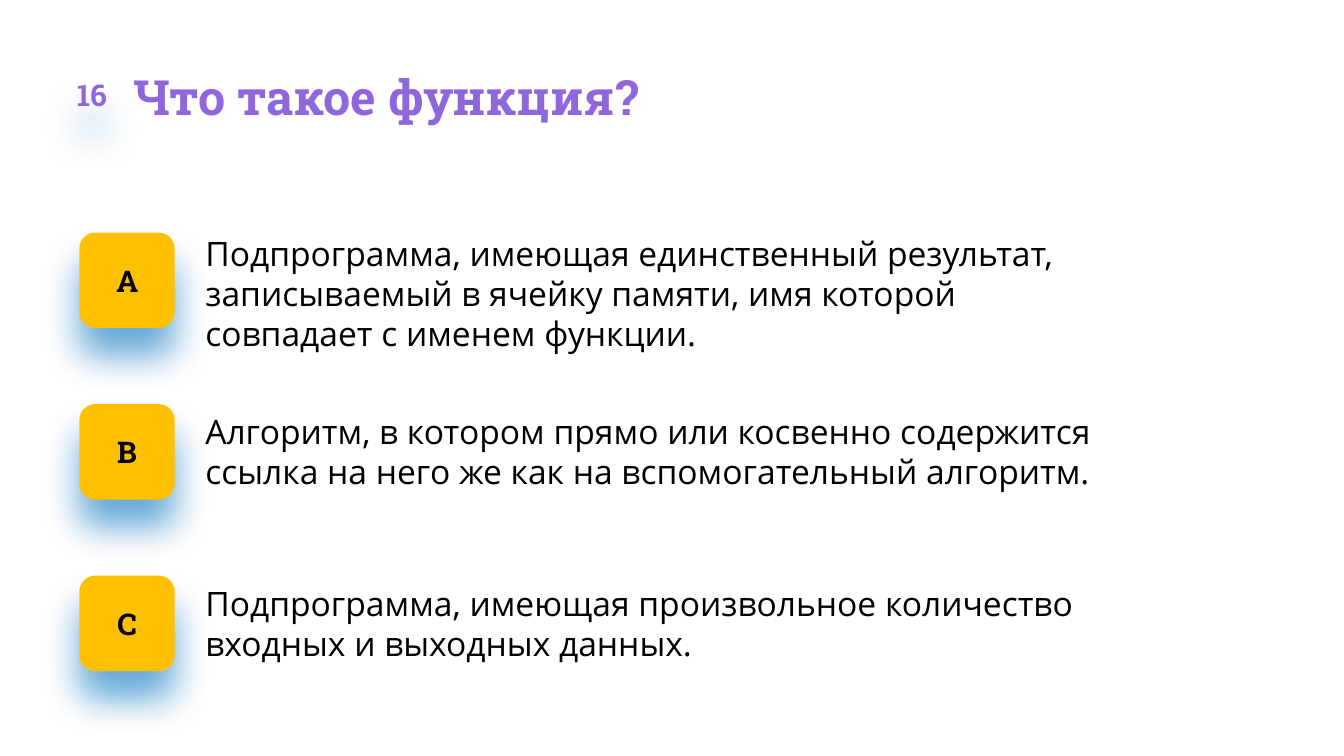
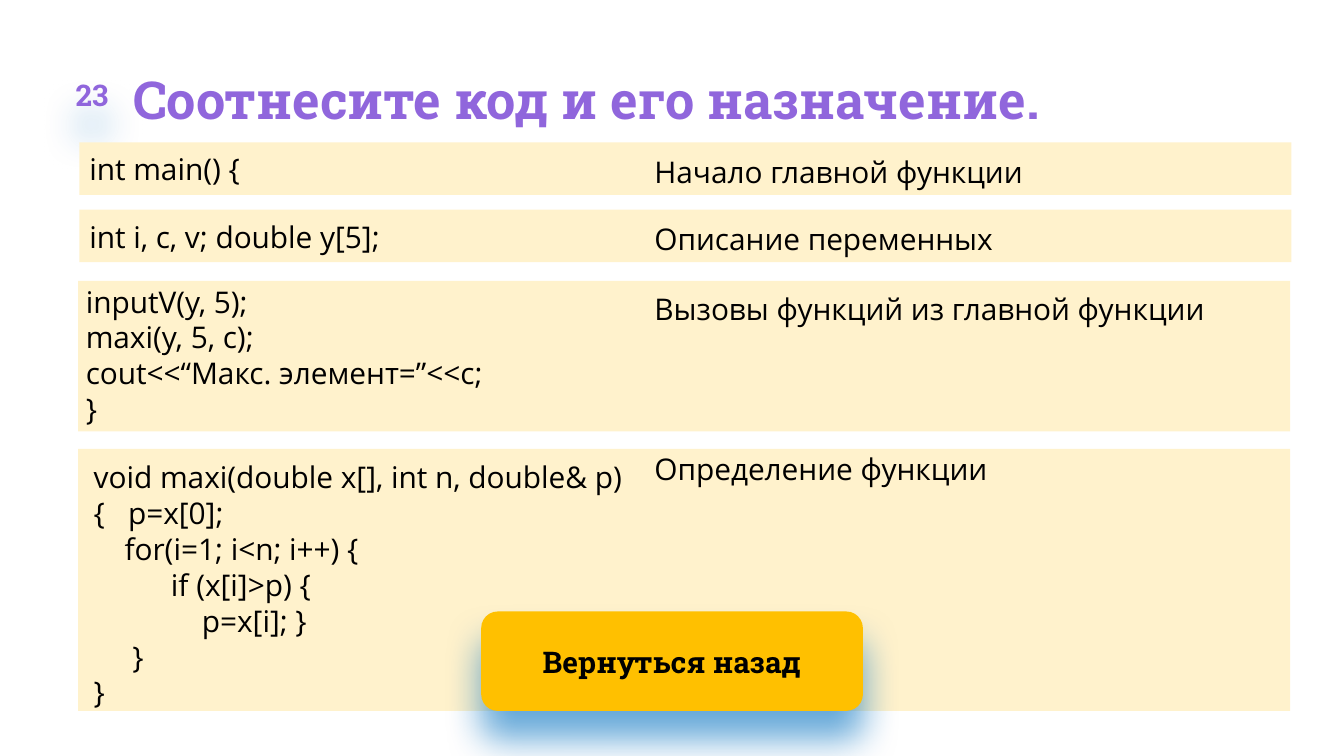
from lxml import etree
from pptx import Presentation
from pptx.dml.color import RGBColor
from pptx.enum.shapes import MSO_SHAPE
from pptx.enum.text import MSO_ANCHOR, MSO_AUTO_SIZE, PP_ALIGN
from pptx.oxml.ns import qn
from pptx.util import Pt

RECTANGLE, ROUNDED = MSO_SHAPE.RECTANGLE, MSO_SHAPE.ROUNDED_RECTANGLE
TOP, MIDDLE = MSO_ANCHOR.TOP, MSO_ANCHOR.MIDDLE
LEFT, CENTER = PP_ALIGN.LEFT, PP_ALIGN.CENTER
GROW, FIXED = MSO_AUTO_SIZE.SHAPE_TO_FIT_TEXT, MSO_AUTO_SIZE.NONE
PURPLE, YELLOW, CREAM = "9066DC", "FFC000", "FFF2CC"
BLACK, SHADOW_BLUE = "000000", "0070C0"
HEADING_FONT, BODY_FONT = "Roboto Slab", "Open Sans"
NOTE_INDENT = (10, 0, 0, 0)


def color(value):
    return RGBColor.from_string(value)


class SlideBuilder:
    heading = {"name": HEADING_FONT, "size": Pt(16), "bold": True}
    body = {"name": BODY_FONT, "size": Pt(16), "bold": False}

    def __init__(self, deck):
        self.deck = deck
        self.page = None

    def start(self, number, title, size):
        self.page = self.deck.slides.add_slide(self.deck.slide_layouts[5])
        box = self.page.shapes.title
        box.left, box.top, box.width, box.height = Pt(71.3), Pt(33.8), Pt(630), Pt(size * 1.2)
        self.fill_text(box, [title], self.heading | {"size": Pt(size)}, PURPLE)
        box.text_frame.paragraphs[0].line_spacing = 1.06
        badge = self.shape(ROUNDED, 28, 29.5, 42.5, 42.5, shadow=True)
        self.fill_text(badge, [str(number)], self.heading, PURPLE, CENTER, MIDDLE, grow=FIXED)

    def fill_text(self, box, lines, style, ink=BLACK, align=LEFT, anchor=TOP,
                  margins=(0, 0, 0, 0), grow=GROW):
        frame = box.text_frame
        left, top, right, bottom = map(Pt, margins)
        layout = {"word_wrap": True, "auto_size": grow, "vertical_anchor": anchor,
                  "margin_left": left, "margin_top": top,
                  "margin_right": right, "margin_bottom": bottom}
        for key, value in layout.items():
            setattr(frame, key, value)
        for index, line in enumerate(lines):
            para = frame.add_paragraph() if index else frame.paragraphs[0]
            para.alignment = align
            span = para.add_run()
            span.text = line
            for key, value in style.items():
                setattr(span.font, key, value)
            span.font.color.rgb = color(ink)

    def shape(self, kind, left, top, width, height, fill=None, shadow=False):
        box = self.page.shapes.add_shape(kind, Pt(left), Pt(top), Pt(width), Pt(height))
        box.line.fill.background()
        if fill:
            box.fill.solid()
            box.fill.fore_color.rgb = color(fill)
        else:
            box.fill.background()
        box.shadow.inherit = False
        if shadow:
            self.cast_shadow(box)
        return box

    def cast_shadow(self, box):
        effects = box._element.spPr.find(qn("a:effectLst"))
        outer = etree.SubElement(effects, qn("a:outerShdw"), blurRad=str(Pt(20)),
                                 dist=str(Pt(15)), dir="5400000", algn="t", rotWithShape="0")
        tint = etree.SubElement(outer, qn("a:srgbClr"), val=SHADOW_BLUE)
        etree.SubElement(tint, qn("a:alpha"), val="60000")

    def button(self, left, top, width, height, label, margins=(0, 0, 0, 0)):
        box = self.shape(ROUNDED, left, top, width, height, YELLOW, shadow=True)
        self.fill_text(box, [label], self.heading, BLACK, CENTER, MIDDLE, margins, FIXED)

    def note(self, left, top, width, height, text, size):
        box = self.page.shapes.add_textbox(Pt(left), Pt(top), Pt(width), Pt(height))
        self.fill_text(box, [text], self.body | {"size": Pt(size)}, margins=NOTE_INDENT)

    def code(self, left, top, width, height, lines):
        self.fill_text(self.shape(ROUNDED, left, top, width, height), lines, self.body)


def build_question(builder):
    builder.start(16, "Что такое функция?", 26)
    answers = [
        ("А", "Подпрограмма, имеющая единственный результат, записываемый в ячейку "
              "памяти, имя которой совпадает с именем функции.", 0, 65.5),
        ("B", "Алгоритм, в котором прямо или косвенно содержится ссылка на него же "
              "как на вспомогательный алгоритм.", 3.7, 44),
        ("C", "Подпрограмма, имеющая произвольное количество входных и выходных "
              "данных.", 3.7, 44),
    ]
    for index, (letter, text, offset, height) in enumerate(answers):
        top = 124.6 + 91.9 * index
        builder.button(42.5, top, 51.1, 51.1, letter)
        builder.note(100, top + offset, 506, height, text, 18)


def build_matching(builder):
    builder.start(23, "Соотнесите код и его назначение.", 28)
    bands = [(42.5, 76.3, 28.1), (42.5, 112.3, 28.1),
             (41.8, 150.5, 80.6), (41.8, 240.5, 140.4)]
    for left, top, height in bands:
        builder.shape(RECTANGLE, left, top, 649.4, height, CREAM)
    notes = [(82.1, "Начало главной функции"), (118.1, "Описание переменных"),
             (155.5, "Вызовы функций из главной функции"),
             (241.2, "Определение функции")]
    for top, text in notes:
        builder.note(340.6, top, 331.2, 19.4, text, 16)
    builder.button(257.8, 327.6, 204.5, 53.3, "Вернуться назад", (28, 14.4, 28, 14.4))
    listings = [
        (46.8, 79.9, 244, 21.6, ["int main() {"]),
        (46.8, 115.9, 244, 21.6, ["int i, c, v; double y[5];"]),
        (41.8, 147.6, 244, 85.7, ["inputV(y, 5);", "maxi(y, 5, c);",
                                  "cout<<“Макс. элемент=”<<c;", "}"]),
        (41.8, 237.6, 334, 171.4, ["void maxi(double x[], int n, double& p)",
                                   "{   p=x[0];",
                                   "    for(i=1; i<n; i++) {",
                                   "          if (x[i]>p) {",
                                   "              p=x[i]; }",
                                   "     }",
                                   "}"]),
    ]
    for listing in listings:
        builder.code(*listing)


def main():
    deck = Presentation()
    deck.slide_width, deck.slide_height = Pt(720), Pt(405)
    builder = SlideBuilder(deck)
    build_question(builder)
    build_matching(builder)
    deck.save("out.pptx")


if __name__ == "__main__":
    main()
